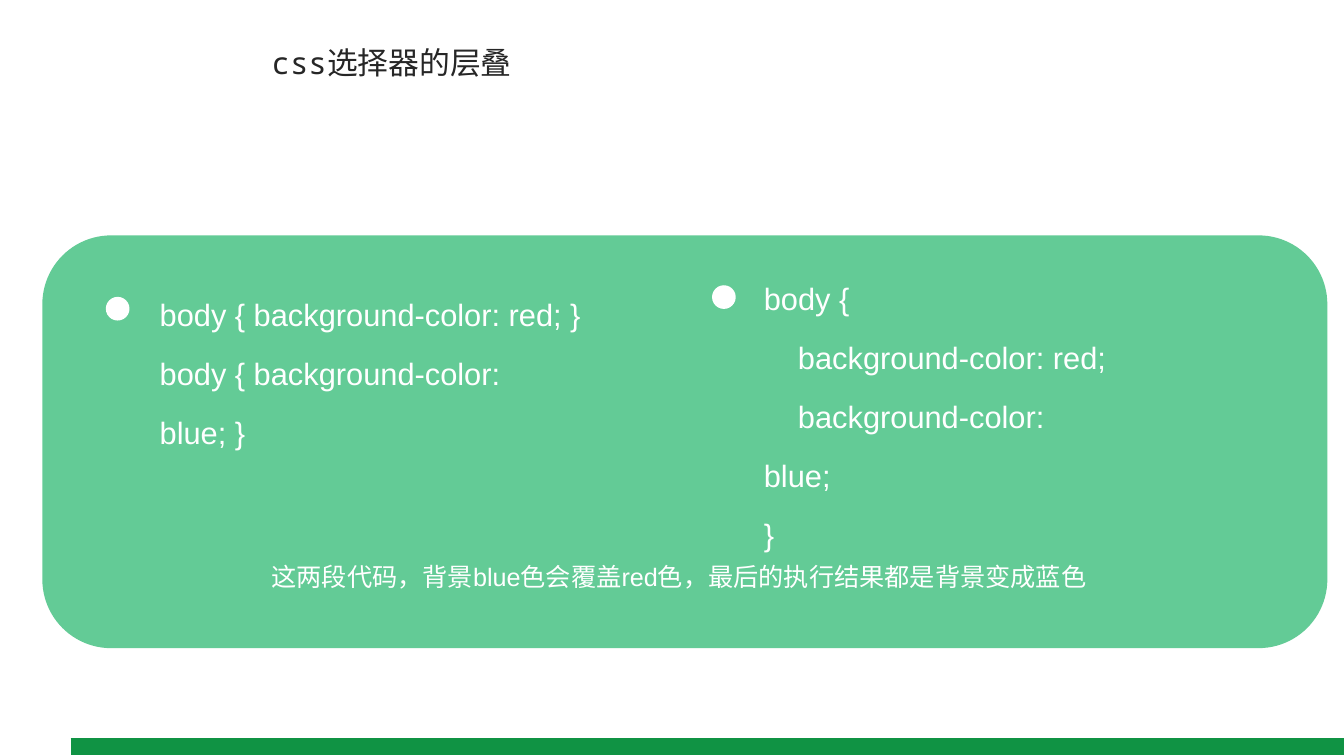
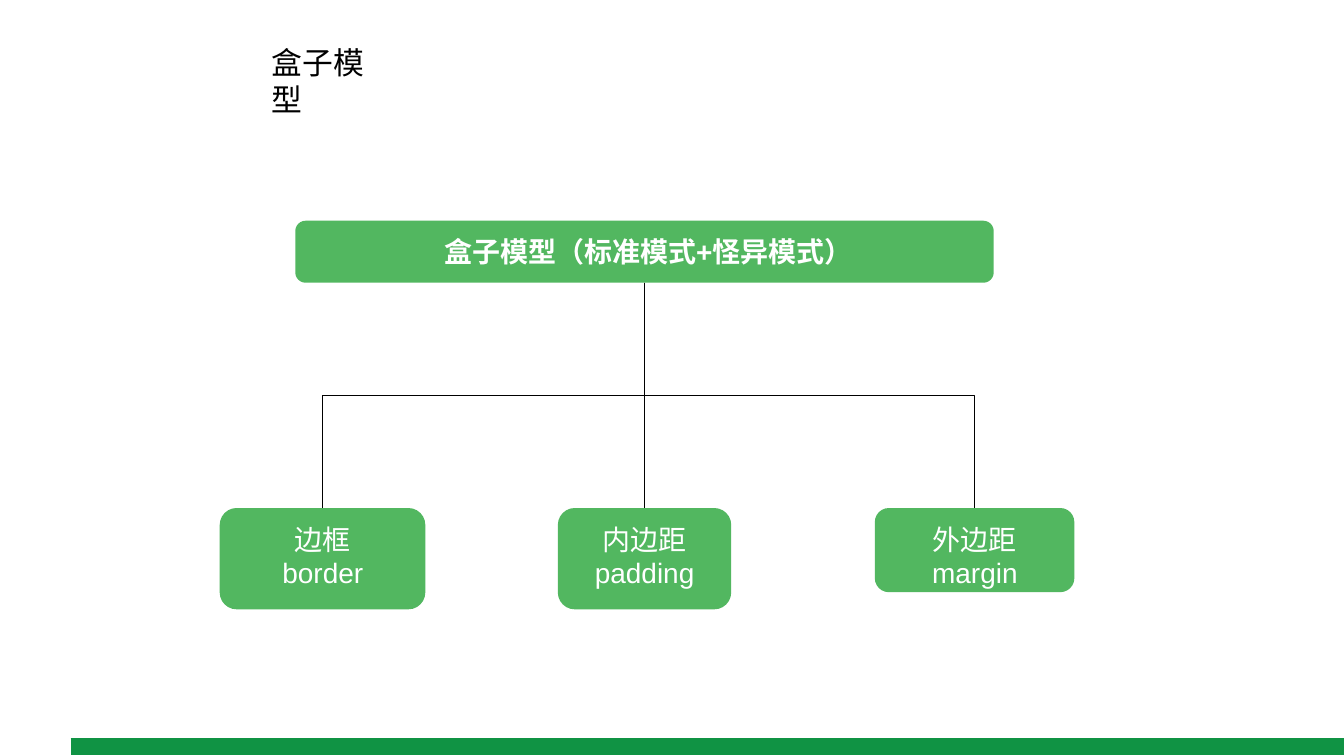
import pptx
import pptx.util
import pptx.dml.color
import pptx.enum.shapes
import pptx.enum.text
import pptx.oxml.ns
import lxml.etree

RGBColor = pptx.dml.color.RGBColor
SHAPE = pptx.enum.shapes.MSO_SHAPE
CONNECTOR = pptx.enum.shapes.MSO_CONNECTOR
ALIGN = pptx.enum.text.PP_ALIGN
qn = pptx.oxml.ns.qn

PX = 9144  # 100 px to the inch
WIDTH, HEIGHT = 2667, 1500

BAND_GREEN = RGBColor(0x10, 0x93, 0x44)
PANEL_GREEN = RGBColor(0x63, 0xCB, 0x96)
NODE_GREEN = RGBColor(0x52, 0xB7, 0x60)
WHITE = RGBColor(0xFF, 0xFF, 0xFF)
BLACK = RGBColor(0x00, 0x00, 0x00)
DARK_GREY = RGBColor(0x26, 0x26, 0x26)


def add_text(page, place, lines, size, color, font="Arial", align=ALIGN.LEFT, spacing=None, bold=False):
    box = page.shapes.add_textbox(*[value * PX for value in place])
    frame = box.text_frame
    frame.word_wrap = True
    frame.auto_size = pptx.enum.text.MSO_AUTO_SIZE.SHAPE_TO_FIT_TEXT
    frame.text = "\n".join(lines)
    for para in frame.paragraphs:
        para.alignment = align
        para.line_spacing = spacing
        para.font.name = font
        para.font.size = pptx.util.Pt(size)
        para.font.bold = bold
        para.font.color.rgb = color


def add_filled(page, kind, place, color):
    shape = page.shapes.add_shape(kind, *[value * PX for value in place])
    shape.shadow.inherit = False
    shape.fill.solid()
    shape.fill.fore_color.rgb = color
    shape.line.fill.background()
    return shape


deck = pptx.Presentation()
deck.slide_width = WIDTH * PX
deck.slide_height = HEIGHT * PX
cascade_page, model_page = [deck.slides.add_slide(deck.slide_layouts[6]) for _ in range(2)]
connectors = []  # (connector, colour, width in points)

# Slide 1: panel behind the code
add_filled(cascade_page, SHAPE.ROUNDED_RECTANGLE, (84, 467, 2550, 819), PANEL_GREEN)

# Both slides: footer band and title
titles = [
    (cascade_page, "css选择器的层叠", 1780, "Noto Sans Mono", DARK_GREY),
    (model_page, "盒子模型", 264, "Arial", BLACK),
]
for page, title, width, font, color in titles:
    band = page.shapes.add_connector(CONNECTOR.STRAIGHT, 140 * PX, 1481 * PX, WIDTH * PX, 1481 * PX)
    connectors.append((band, BAND_GREEN, 25))
    add_text(page, (529, 81, width, 84), [title], 44, color, font)

# Slide 1: two code samples with their dots, and the conclusion
short_code = ["body { background-color: red; }", "body { background-color: blue; }"]
long_code = ["body {", "    background-color: red;", "    background-color: blue;", "}"]
add_text(cascade_page, (307, 537, 882, 247), short_code, 44, WHITE, spacing=1.6)
add_text(cascade_page, (1506, 506, 726, 602), long_code, 44, WHITE, spacing=1.6)
add_text(cascade_page, (529, 1108, 1637, 71),
         ["这两段代码，背景blue色会覆盖red色，最后的执行结果都是背景变成蓝色"], 36, WHITE)
for left, top in [(210, 589), (1413, 566)]:
    add_filled(cascade_page, SHAPE.OVAL, (left, top, 47, 47), WHITE)

# Slide 2: root of the tree
root_left, root_top, root_width, root_height = 586, 438, 1386, 123
root_middle = root_left + root_width // 2
root_bottom = root_top + root_height
root = add_filled(model_page, SHAPE.ROUNDED_RECTANGLE,
                  (root_left, root_top, root_width, root_height), NODE_GREEN)
add_text(model_page, (765, 461, 1043, 77), ["盒子模型（标准模式+怪异模式）"], 40, WHITE,
         align=ALIGN.CENTER, bold=True)

# Slide 2: branches, each joined to the root
branch_top = 1008
branches = [
    (436, 408, 201, 299, ["边框", "border"]),
    (1107, 344, 201, 304, ["内边距", "padding"]),
    (1736, 396, 167, 325, ["外边距", "margin"]),
]
for left, width, height, label_width, label in branches:
    node = add_filled(model_page, SHAPE.ROUNDED_RECTANGLE, (left, branch_top, width, height), NODE_GREEN)
    middle = left + width // 2
    add_text(model_page, (middle - label_width // 2, branch_top + 23, label_width, 145), label, 40, WHITE,
             align=ALIGN.CENTER)
    across, down = middle - root_middle, branch_top - root_bottom
    if across == 0:
        link = model_page.shapes.add_connector(CONNECTOR.STRAIGHT, 0, 0, 0, 0)
        link.begin_connect(root, 2)
        link.end_connect(node, 0)
    else:
        # An elbow leaves sideways, so lay it flat about its centre and turn it a quarter
        center_x, center_y = (root_middle + middle) * PX // 2, (root_bottom + branch_top) * PX // 2
        half_down, half_across = down * PX // 2, across * PX // 2
        link = model_page.shapes.add_connector(
            CONNECTOR.ELBOW, center_x - half_down, center_y + half_across,
            center_x + half_down, center_y - half_across)
        link._element.spPr.find(qn("a:xfrm")).set("rot", "5400000")
    connectors.append((link, BLACK, 0.75))

# Line style of every connector, without shadow
for connector, color, width in connectors:
    connector.line.color.rgb = color
    connector.line.width = pptx.util.Pt(width)
    lxml.etree.SubElement(connector._element.spPr, qn("a:effectLst"))

deck.save("out.pptx")
